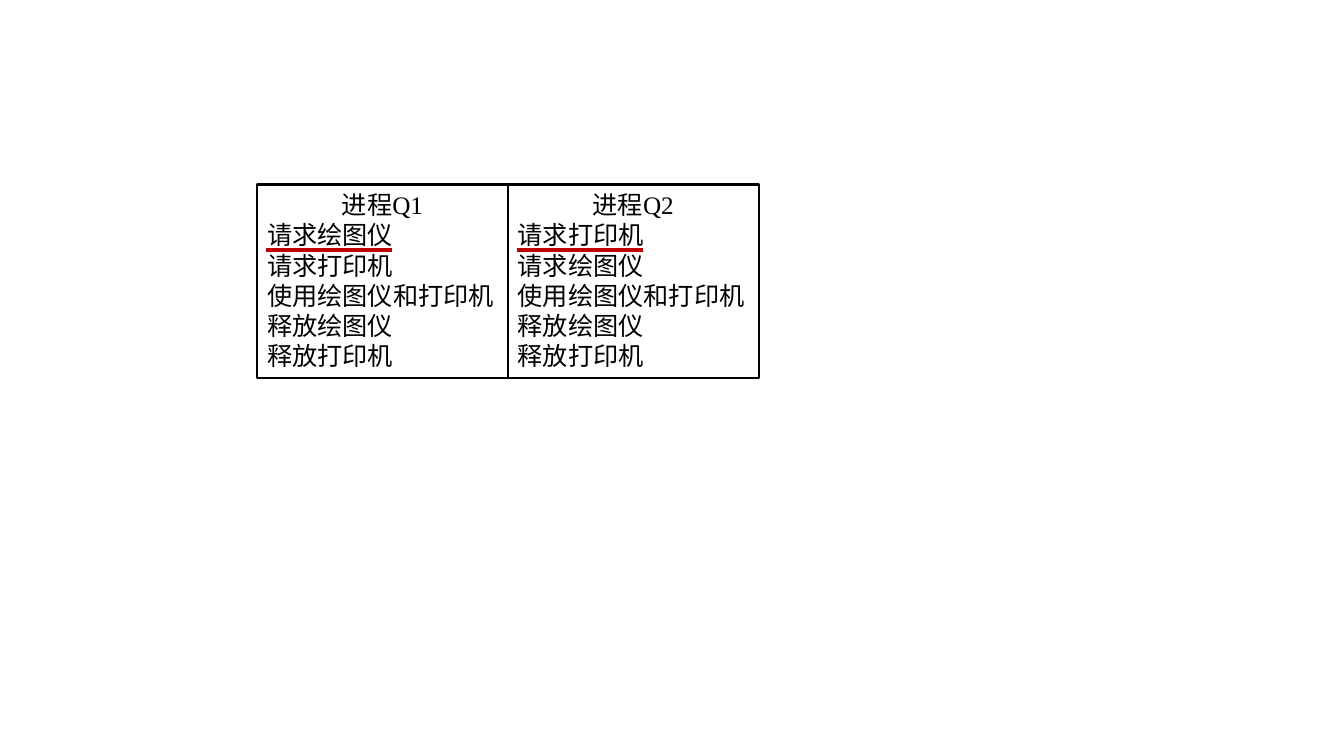
from dataclasses import dataclass

from lxml import etree
from pptx import Presentation
from pptx.dml.color import RGBColor
from pptx.enum import shapes, text
from pptx.oxml import ns
from pptx.util import Cm, Pt


@dataclass(frozen=True)
class Theme:
    font: str = "Times New Roman"
    size: Pt = Pt(18)
    ink: RGBColor = RGBColor(0x00, 0x00, 0x00)
    highlight: RGBColor = RGBColor(0xC0, 0x00, 0x00)
    border: Pt = Pt(1.5)
    underline: Pt = Pt(2.25)


THEME = Theme()
LEFT, TOP = Cm(6.48), Cm(4.65)
WIDTH, HEIGHT = Cm(6.32), Cm(4.88)
FINAL_STEPS = ["使用绘图仪和打印机", "释放绘图仪", "释放打印机"]
PROCESSES = {
    "进程Q1": ["请求绘图仪", "请求打印机"] + FINAL_STEPS,
    "进程Q2": ["请求打印机", "请求绘图仪"] + FINAL_STEPS,
}


def add_process(slide, left, heading, steps):
    """Draw a bordered box with a centred heading above its steps."""
    process = slide.shapes.add_shape(
        shapes.MSO_SHAPE.RECTANGLE, left, TOP, WIDTH, HEIGHT)
    process.shadow.inherit = False
    process.fill.background()
    process.line.color.rgb = THEME.ink
    process.line.width = THEME.border
    frame = process.text_frame
    frame.word_wrap = True
    frame.auto_size = text.MSO_AUTO_SIZE.SHAPE_TO_FIT_TEXT
    frame.vertical_anchor = text.MSO_ANCHOR.TOP
    for index, wording in enumerate([heading, *steps]):
        paragraph = frame.paragraphs[0] if index == 0 else frame.add_paragraph()
        paragraph.alignment = text.PP_ALIGN.LEFT if index else text.PP_ALIGN.CENTER
        run = paragraph.add_run()
        run.text = wording
        run.font.name = THEME.font
        run.font.size = THEME.size
        run.font.color.rgb = THEME.ink


def add_underline(slide, left, top, length):
    underline = slide.shapes.add_connector(
        shapes.MSO_CONNECTOR.STRAIGHT, left, top, left + length, top)
    underline.line.color.rgb = THEME.highlight
    underline.line.width = THEME.underline
    properties = underline._element.spPr
    etree.SubElement(properties, ns.qn("a:effectLst"))


def main():
    deck = Presentation()
    deck.slide_width, deck.slide_height = Cm(33.87), Cm(19.05)
    slide = deck.slides.add_slide(deck.slide_layouts[6])
    lefts = [LEFT + column * WIDTH for column in range(len(PROCESSES))]
    for left, (heading, steps) in zip(lefts, PROCESSES.items()):
        add_process(slide, left, heading, steps)
    for left in lefts:
        add_underline(slide, left + Cm(0.22), Cm(6.3), Cm(3.18))
    deck.save("out.pptx")


if __name__ == "__main__":
    main()
